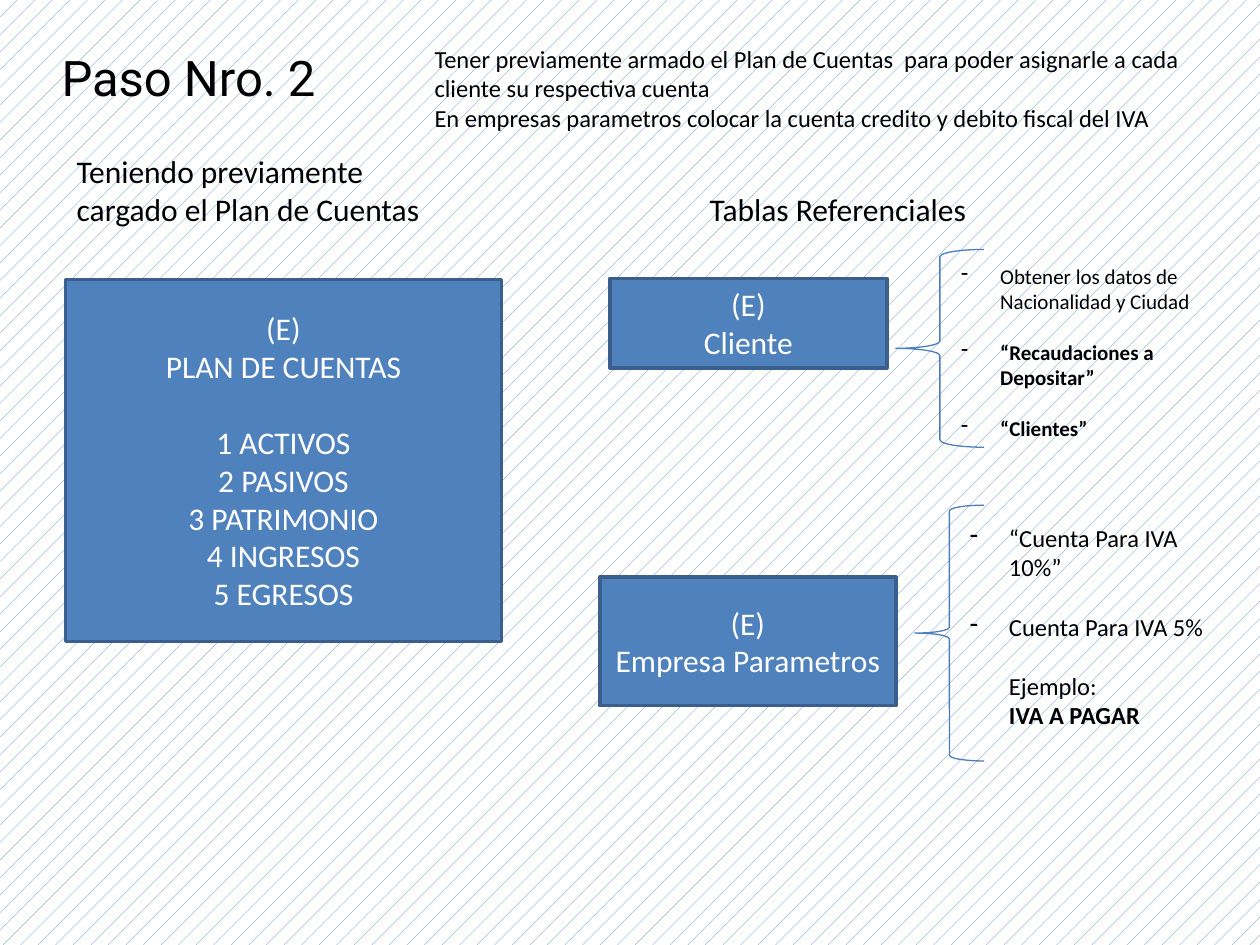
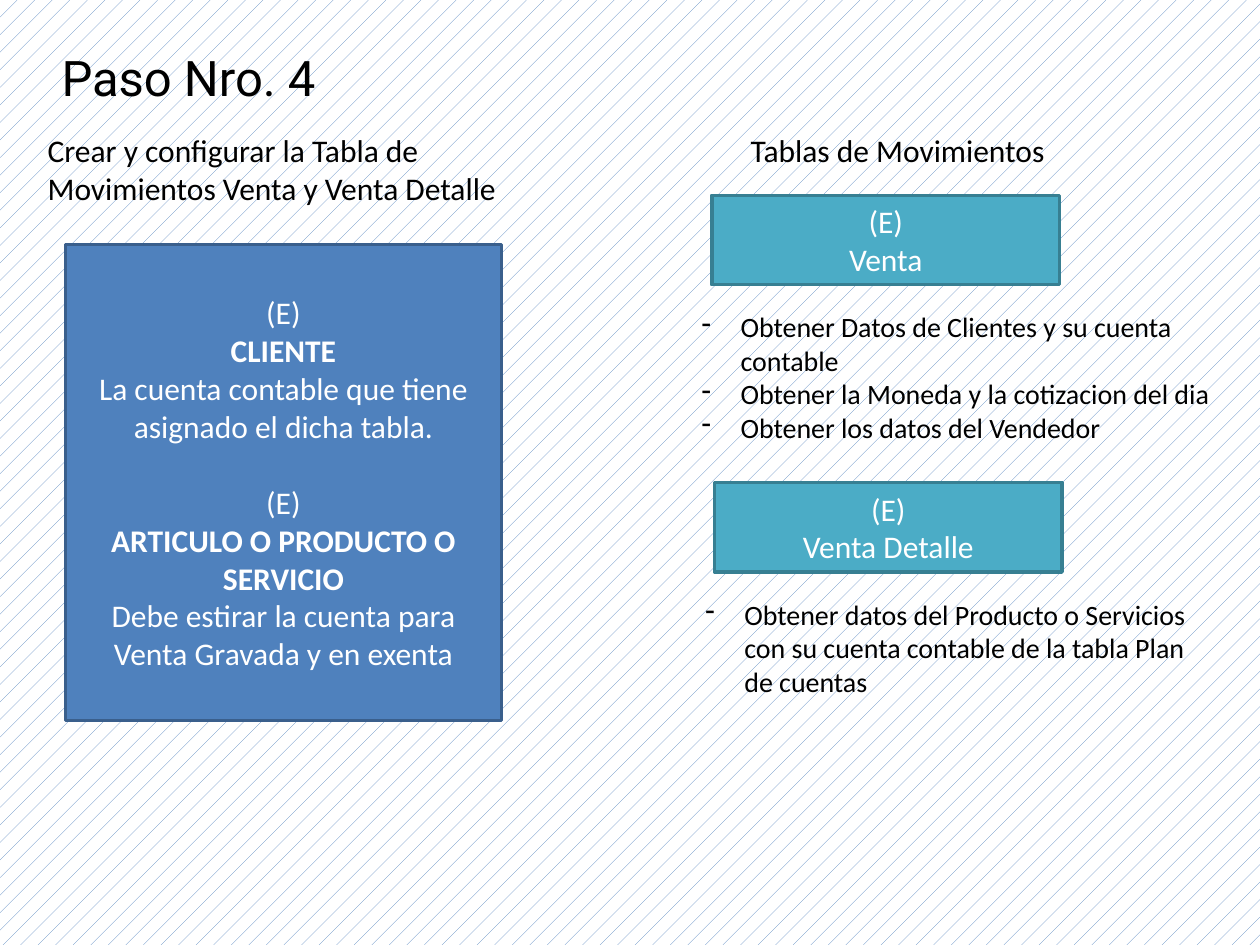
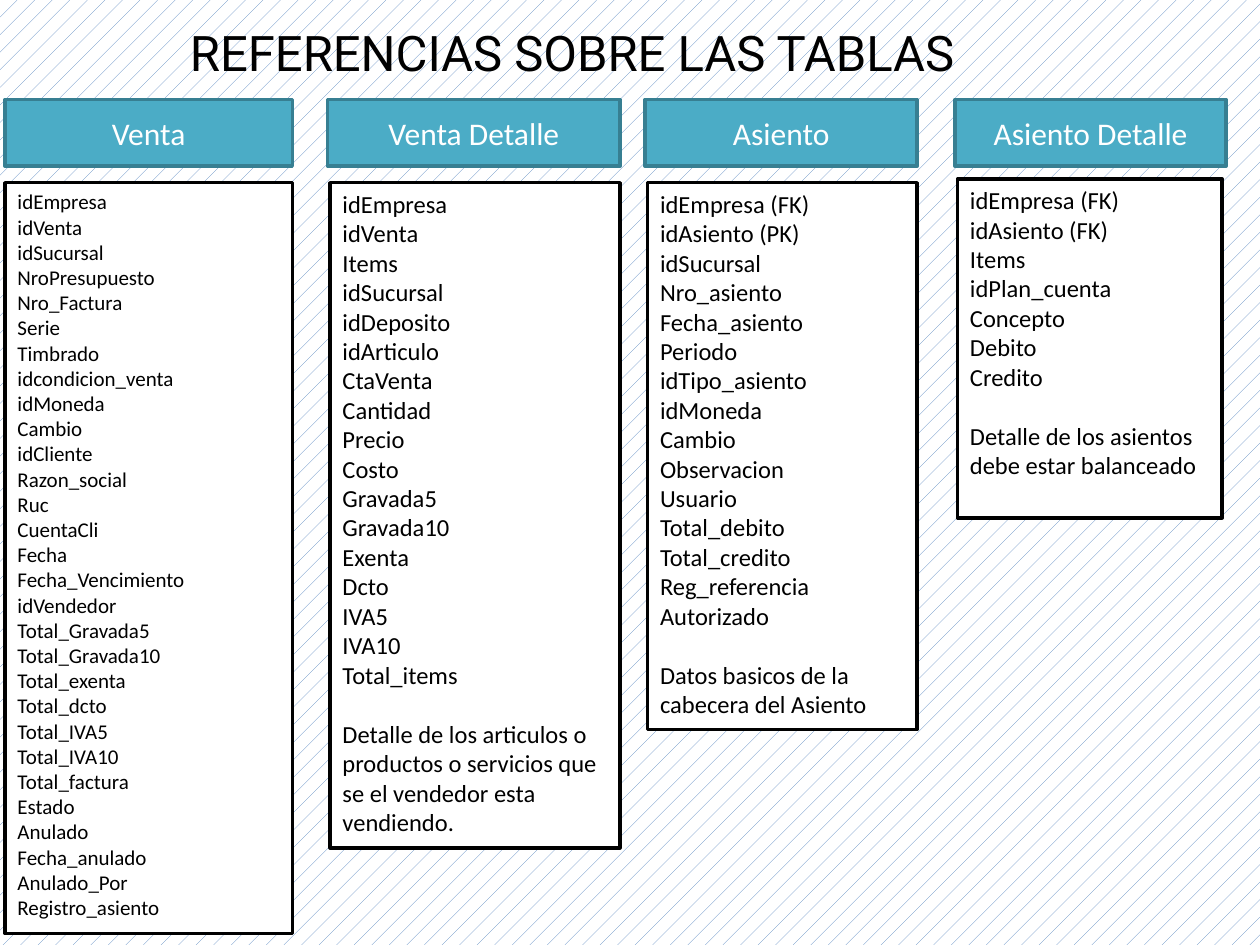
from dataclasses import dataclass

from lxml.etree import SubElement
from pptx import Presentation
from pptx.dml.color import RGBColor
from pptx.enum.dml import MSO_PATTERN
from pptx.enum.shapes import MSO_SHAPE
from pptx.enum.text import MSO_ANCHOR, PP_ALIGN
from pptx.oxml.ns import qn
from pptx.util import Inches, Pt

COLORS = {
    "text": "000000", "paper": "FFFFFF", "brace": "4B7EBC",
    "blue": "4F81BD", "blue_edge": "3A5F8C",
    "teal": "4BACC6", "teal_edge": "377F92",
}
TITLE = {"name": "Roboto", "size": Pt(28)}
BODY = {"name": "Calibri", "size": Pt(18)}
LINE_HEIGHT = 1.22
BULLET_INDENT = 0.31


@dataclass
class Line:
    """One paragraph; gap leaves one empty line's height above it."""
    text: str
    bold: bool = False
    gap: bool = False
    bullet: bool = True


def rgb(color):
    return RGBColor.from_string(COLORS[color])


def apply(target, values):
    for attribute, value in values.items():
        setattr(target, attribute, value)


class Deck:
    def __init__(self):
        self.prs = Presentation()
        apply(self.prs, {"slide_width": Inches(10), "slide_height": Inches(7.5)})
        self.slide = None

    def new_slide(self):
        self.slide = self.prs.slides.add_slide(self.prs.slide_layouts[6])
        fill = self.slide.background.fill
        fill.patterned()
        fill.pattern = MSO_PATTERN.PERCENT_5
        fill.fore_color.rgb = rgb("blue")
        fill.back_color.rgb = rgb("paper")

    def set_lines(self, shape, lines, font, color="text", align=PP_ALIGN.LEFT,
                  anchor=MSO_ANCHOR.TOP, bulleted=False):
        frame = shape.text_frame
        apply(frame, {"word_wrap": True, "vertical_anchor": anchor})
        for index, line in enumerate(lines):
            if isinstance(line, str):
                line = Line(line)
            paragraph = frame.paragraphs[0] if index == 0 else frame.add_paragraph()
            paragraph.alignment = align
            if line.gap:
                paragraph.space_before = Pt(round(font["size"].pt * LINE_HEIGHT, 1))
            run = paragraph.add_run()
            run.text = line.text
            apply(run.font, {**font, "bold": line.bold})
            run.font.color.rgb = rgb(color)
            if bulleted:
                self.indent(paragraph, line.bullet)

    def indent(self, paragraph, bullet):
        properties = paragraph._p.get_or_add_pPr()
        properties.set("marL", str(Inches(BULLET_INDENT)))
        properties.set("indent", str(-Inches(BULLET_INDENT) if bullet else 0))
        if bullet:
            SubElement(properties, qn("a:buChar")).set("char", "-")

    def text(self, place, lines, font=BODY, **options):
        box = self.slide.shapes.add_textbox(*map(Inches, place))
        self.set_lines(box, lines, font, **options)

    def title(self, text, place=(0.39, 0.33, 2.96, 0.57), **options):
        self.text(place, [text], TITLE, **options)

    def bullets(self, place, lines, size):
        self.text(place, lines, {**BODY, "size": Pt(size)}, bulleted=True)

    def outlined(self, preset, place, edge, width):
        shape = self.slide.shapes.add_shape(preset, *map(Inches, place))
        shape.shadow.inherit = False
        shape.line.color.rgb = rgb(edge)
        shape.line.width = Pt(width)
        return shape

    def panel(self, place, fill, edge):
        shape = self.outlined(MSO_SHAPE.RECTANGLE, place, edge, 2)
        shape.fill.solid()
        shape.fill.fore_color.rgb = rgb(fill)
        return shape

    def entity(self, place, lines, color="blue"):
        self.set_lines(self.panel(place, color, color + "_edge"), lines, BODY, "paper",
                       PP_ALIGN.CENTER, MSO_ANCHOR.MIDDLE)

    def fields(self, place, lines, size):
        self.set_lines(self.panel(place, "paper", "text"), lines,
                       {**BODY, "size": Pt(size)})

    def brace(self, place):
        self.outlined(MSO_SHAPE.LEFT_BRACE, place, "brace", 0.75).fill.background()


def accounts_slide(deck):
    deck.new_slide()
    deck.title("Paso Nro. 2")
    deck.text((3.35, 0.3, 6.61, 0.81), [
        "Tener previamente armado el Plan de Cuentas  para poder asignarle a cada "
        "cliente su respectiva cuenta",
        "En empresas parametros colocar la cuenta credito y debito fiscal del IVA",
    ], {**BODY, "size": Pt(14)})
    deck.text((0.51, 1.16, 3.15, 0.71), ["Teniendo previamente cargado el Plan de Cuentas"])
    deck.text((5.43, 1.46, 2.44, 0.4), ["Tablas Referenciales"], align=PP_ALIGN.CENTER)
    deck.entity((0.52, 2.22, 3.46, 2.87), [
        "(E)", "PLAN DE CUENTAS", Line("1 ACTIVOS", gap=True), "2 PASIVOS",
        "3 PATRIMONIO", "4 INGRESOS", "5 EGRESOS",
    ])
    deck.entity((4.84, 2.21, 2.2, 0.71), ["(E)", "Cliente"])
    deck.brace((7.11, 1.98, 0.7, 1.57))
    deck.bullets((7.53, 2.04, 2.35, 1.51), [
        "Obtener los datos de Nacionalidad y Ciudad",
        Line("“Recaudaciones a Depositar”", bold=True, gap=True),
        Line("“Clientes”", bold=True, gap=True),
    ], 12)
    deck.entity((4.76, 4.58, 2.35, 1.02), ["(E)", "Empresa Parametros"])
    deck.brace((7.26, 4.01, 0.55, 2.03))
    deck.bullets((7.6, 4.1, 2.13, 1.75), [
        "“Cuenta Para IVA 10%”",
        Line("Cuenta Para IVA 5%", gap=True),
        Line("Ejemplo:", gap=True, bullet=False),
        Line("IVA A PAGAR", bold=True, bullet=False),
    ], 14)


def movements_slide(deck):
    deck.new_slide()
    deck.title("Paso Nro. 4")
    deck.text((0.28, 0.99, 3.87, 0.71),
              ["Crear y configurar la Tabla de Movimientos Venta y Venta Detalle"])
    deck.text((5.71, 0.99, 2.83, 0.4), ["Tablas de Movimientos"], align=PP_ALIGN.CENTER)
    deck.entity((0.52, 1.94, 3.46, 3.78), [
        "(E)",
        Line("CLIENTE", bold=True),
        "La cuenta contable que tiene asignado el dicha tabla.",
        Line("(E)", gap=True),
        Line("ARTICULO O PRODUCTO O SERVICIO", bold=True),
        "Debe estirar la cuenta para Venta Gravada y en exenta",
    ])
    deck.entity((5.65, 1.55, 2.76, 0.71), ["(E)", "Venta"], "teal")
    deck.bullets((5.47, 2.41, 4.53, 1.18), [
        "Obtener Datos de Clientes y su cuenta contable",
        "Obtener la Moneda y la cotizacion del dia",
        "Obtener los datos del Vendedor",
    ], 16)
    deck.entity((5.67, 3.83, 2.76, 0.71), ["(E)", "Venta Detalle"], "teal")
    deck.bullets((5.5, 4.69, 4.23, 0.91), [
        "Obtener datos del Producto o Servicios con su cuenta contable de la tabla "
        "Plan de cuentas",
    ], 16)


# Table name, header (left, width), field box place, text size, fields, closing remark
TABLES = [
    ("Venta", (0.04, 2.28), (0.04, 1.45, 2.28, 5.96), 12,
     "idEmpresa idVenta idSucursal NroPresupuesto Nro_Factura Serie Timbrado "
     "idcondicion_venta idMoneda Cambio idCliente Razon_social Ruc CuentaCli Fecha "
     "Fecha_Vencimiento idVendedor Total_Gravada5 Total_Gravada10 Total_exenta "
     "Total_dcto Total_IVA5 Total_IVA10 Total_factura Estado Anulado Fecha_anulado "
     "Anulado_Por Registro_asiento".split(), None),
    ("Venta Detalle", (2.6, 2.32), (2.62, 1.45, 2.3, 5.28), 14,
     "idEmpresa idVenta Items idSucursal idDeposito idArticulo CtaVenta Cantidad "
     "Precio Costo Gravada5 Gravada10 Exenta Dcto IVA5 IVA10 Total_items".split(),
     "Detalle de los articulos o productos o servicios que se el vendedor esta vendiendo."),
    ("Asiento", (5.12, 2.16), (5.14, 1.45, 2.14, 4.34), 14,
     ["idEmpresa (FK)", "idAsiento (PK)"]
     + "idSucursal Nro_asiento Fecha_asiento Periodo idTipo_asiento idMoneda Cambio "
       "Observacion Usuario Total_debito Total_credito Reg_referencia Autorizado".split(),
     "Datos basicos de la cabecera del Asiento"),
    ("Asiento Detalle", (7.58, 2.15), (7.6, 1.42, 2.1, 2.69), 14,
     ["idEmpresa (FK)", "idAsiento (FK)", "Items", "idPlan_cuenta", "Concepto",
      "Debito", "Credito"],
     "Detalle de los asientos debe estar balanceado"),
]


def tables_slide(deck):
    deck.new_slide()
    deck.title("REFERENCIAS SOBRE LAS TABLAS", (0.46, 0.13, 8.16, 0.57),
               align=PP_ALIGN.CENTER)
    for name, (left, width), place, size, fields, remark in TABLES:
        deck.entity((left, 0.79, width, 0.53), [name], "teal")
        closing = [Line(remark, gap=True)] if remark else []
        deck.fields(place, fields + closing, size)


def main():
    deck = Deck()
    accounts_slide(deck)
    movements_slide(deck)
    tables_slide(deck)
    deck.prs.save("out.pptx")


if __name__ == "__main__":
    main()
